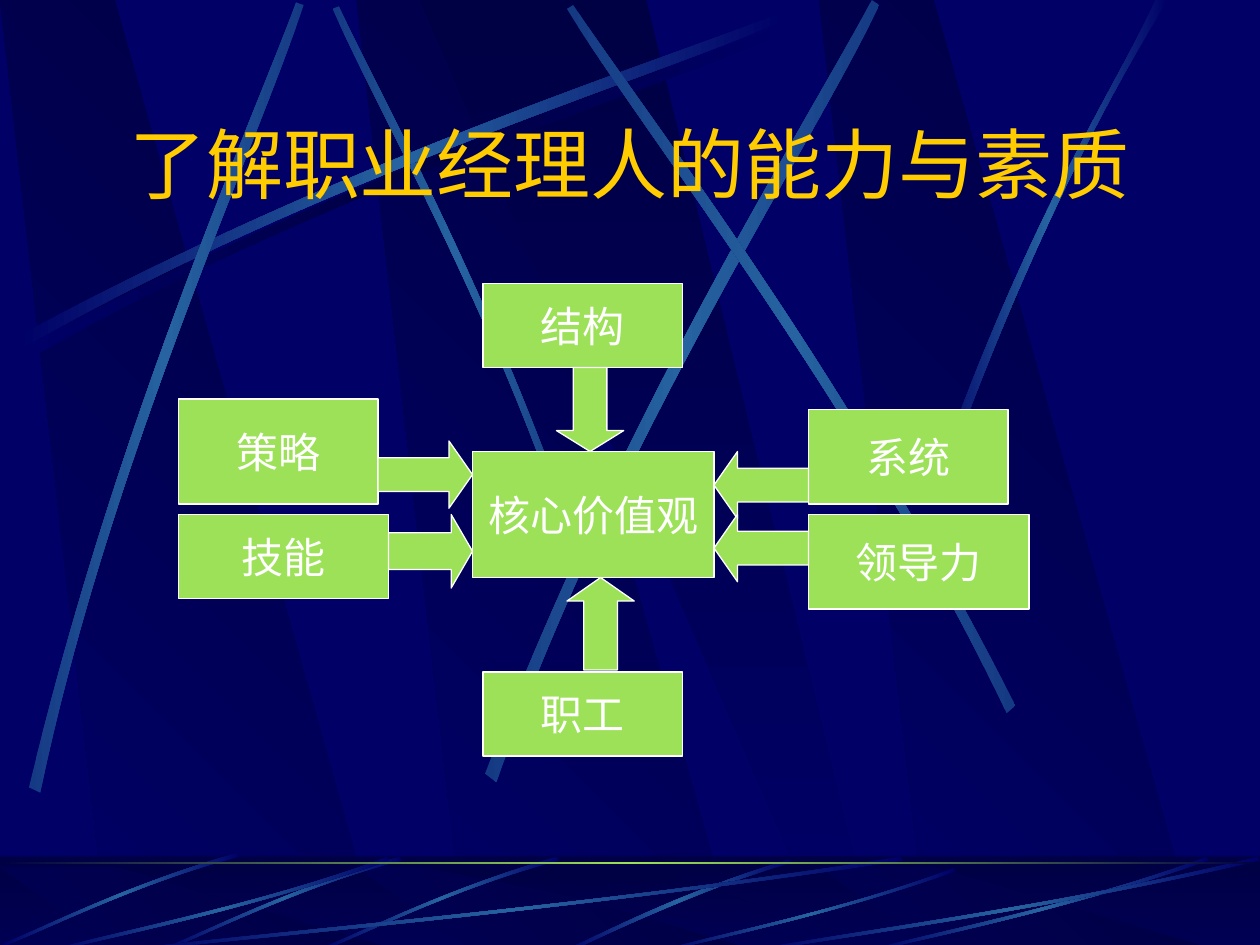
from lxml import etree
from pptx import Presentation
from pptx.dml.color import RGBColor
from pptx.enum.shapes import MSO_SHAPE
from pptx.enum.text import MSO_ANCHOR, PP_ALIGN
from pptx.oxml.ns import qn
from pptx.util import Inches, Pt

RECT = MSO_SHAPE.RECTANGLE
UP, DOWN = MSO_SHAPE.UP_ARROW, MSO_SHAPE.DOWN_ARROW
LEFT, RIGHT = MSO_SHAPE.LEFT_ARROW, MSO_SHAPE.RIGHT_ARROW
CENTER, MIDDLE = PP_ALIGN.CENTER, MSO_ANCHOR.MIDDLE

COLORS = {"navy": "000066", "dark": "000044", "blue": "2663A0", "dim": "153A84",
          "green": "9CE157", "gold": "FFCC00", "white": "FFFFFF"}
WIDTH, HEIGHT = 10, 7.5
GRID = 12  # diagram cells per inch

# Content: text and (left, top, width, height) in grid cells
TITLE = "了解职业经理人的能力与素质"
BOXES = [
    ("核心价值观", (45, 43, 23, 12)),
    ("领导力", (77, 49, 21, 9)),
    ("技能", (17, 49, 20, 8)),
    ("系统", (77, 39, 19, 9)),
    ("策略", (17, 38, 19, 10)),
    ("结构", (46, 27, 19, 8)),
    ("职工", (46, 64, 19, 8)),
]
# Arrow kind, grid cells, head length as a share of the short side
ARROWS = [
    (UP, (54, 55, 6.4, 8.8), 0.35),
    (DOWN, (53, 35, 6.4, 8), 0.31),
    (RIGHT, (36, 42, 9, 6.4), 0.35),
    (RIGHT, (37, 49, 8, 7), 0.29),
    (LEFT, (68, 43, 9, 6.4), 0.35),
    (LEFT, (68, 49, 9, 6.4), 0.35),
]

# Backdrop panels: bottom left, bottom right, top right, top left x; gradient angle
PANELS = [
    (3.69, 5.85, 3.74, 2.83, 135),
    (0.86, 3.02, 0.91, 0, 135),
    (7.36, 9.52, 7.41, 6.5, 135),
    (6.58, 6.94, 5.13, 3.33, 90),
]
# Streaks: gradient, then the control points of the two long curved edges
FADE, SHADE, SOFT = ("navy", "blue", "navy"), ("navy", "dark", "navy"), ("dim", "blue", "dim")
WALL_STREAKS = [
    (SHADE, [(0.2, 2.75), (2.84, 1.34), (5.24, 0.59), (6.26, 0.18)],
     [(6.29, 0.24), (5.28, 0.69), (2.54, 1.51), (0.23, 2.85)]),
    (SOFT, [(4.6, 4.36), (3.91, 2.34), (3.02, 0.77), (2.69, 0.05)],
     [(2.64, 0.07), (2.95, 0.79), (3.98, 2.58), (4.54, 4.39)]),
    (FADE, [(0.14, 2.67), (2.78, 1.25), (5.18, 0.51), (6.2, 0.1)],
     [(6.23, 0.16), (5.22, 0.61), (2.48, 1.43), (0.17, 2.77)]),
    (SOFT, [(0.23, 6.25), (0.93, 3.34), (1.97, 1.05), (2.35, 0.02)],
     [(2.41, 0.04), (2.07, 1.08), (0.86, 3.68), (0.32, 6.29)]),
    (SOFT, [(3.85, 6.14), (4.98, 3.2), (6.38, 1.02), (6.92, 0)],
     [(6.98, 0.04), (6.49, 1.08), (4.86, 3.55), (3.94, 6.21)]),
    (SOFT, [(8.06, 5.6), (6.7, 2.93), (5.16, 0.95), (4.55, 0.04)],
     [(4.5, 0.07), (5.07, 1.01), (6.85, 3.25), (7.99, 5.66)]),
    (FADE, [(7.38, 3.93), (8.14, 1.73), (8.88, 0.66), (9.17, 0)],
     [(9.27, 0), (8.36, 1.45), (7.69, 3.22), (7.44, 3.97)]),
]
FLOOR_STREAKS = [
    (FADE, [(6.27, 6.82), (5.37, 7.09), (4.77, 7.42), (4.48, 7.54)],
     [(4.53, 7.55), (4.9, 7.37), (5.71, 7), (6.28, 6.85)]),
]
# One short streak, shifted
FLOOR_STREAKS += [
    (FADE, [(x + 1.86, y), (x + 0.99, y + 0.25), (x + 0.31, y + 0.6), (x, y + 0.72)],
     [(x + 0.01, y + 0.74), (x + 0.32, y + 0.62), (x + 1.09, y + 0.23), (x + 1.88, y + 0.03)])
    for x, y in [(2.56, 6.8), (1.31, 6.8), (0.02, 6.77)]
]
# One sweep shape, set at several lefts, tops and widths
FLOOR_STREAKS += [
    (FADE, [(left + share * width, top + drop * (7.55 - top)) for share, drop in
            [(1, 0.04), (0.57, 0.57), (0.17, 0.85), (0.005, 1)]],
     [(left + share * width, top + drop * (7.55 - top)) for share, drop in
      [(0, 0.98), (0.165, 0.81), (0.615, 0.51), (0.995, 0)]])
    for left, top, width in [(1, 6.8, 6.17), (0.42, 6.8, 2.67), (5.27, 6.89, 2.31),
                             (6.92, 6.8, 2.67), (6, 6.8, 4)]
]

deck = Presentation()
deck.slide_width, deck.slide_height = Inches(WIDTH), Inches(HEIGHT)
page = deck.slides.add_slide(deck.slide_layouts[6])
page.background.fill.solid()
page.background.fill.fore_color.rgb = RGBColor.from_string(COLORS["navy"])


def set_gradient(shape, names, angle):
    shape.shadow.inherit = False
    shape.line.fill.background()
    shape.fill.gradient()
    gradient = shape.fill._xPr.find(qn("a:gradFill"))
    stops = gradient.find(qn("a:gsLst"))
    for stop in list(stops):
        stops.remove(stop)
    for index, name in enumerate(names):
        position = str(round(100000 * index / (len(names) - 1)))
        stop = etree.SubElement(stops, qn("a:gs"), pos=position)
        etree.SubElement(stop, qn("a:srgbClr"), val=COLORS[name])
    gradient.find(qn("a:lin")).set("ang", str(angle * 60000))


def add_outline(points, names, angle):
    points = [(Inches(x), Inches(y)) for x, y in points]
    builder = page.shapes.build_freeform(*points[0])
    builder.add_line_segments(points[1:], close=True)
    shape = builder.convert_to_shape()
    set_gradient(shape, names, angle)
    return shape


def bend(shape):
    """Turn the two long edges of a streak into cubic curves."""
    segments = list(shape._element.iter(qn("a:lnTo")))
    for first in (0, 4):
        arc = etree.Element(qn("a:cubicBezTo"))
        segments[first].addprevious(arc)
        for segment in segments[first:first + 3]:
            arc.append(segment[0])
            segment.getparent().remove(segment)


def add_panels(top):
    for bottom_left, bottom_right, top_right, top_left, angle in PANELS:
        corners = [(bottom_left, HEIGHT), (bottom_right, HEIGHT), (top_right, top), (top_left, top)]
        add_outline(corners, ("dark", "navy"), angle)


def add_streaks(streaks):
    for names, upper, lower in streaks:
        bend(add_outline(upper + lower, names, 180))


def add_band(top, height):
    return page.shapes.add_shape(RECT, 0, Inches(top), Inches(WIDTH), Inches(height))


def move_to_master():
    tree = deck.slide_master.shapes._spTree
    for number, shape in enumerate(list(page.shapes), start=100):
        shape._element.nvSpPr.cNvPr.set("id", str(number))
        tree.append(shape._element)


def add_block(kind, cells):
    block = page.shapes.add_shape(kind, *(Inches(cell / GRID) for cell in cells))
    block.shadow.inherit = False
    block.fill.solid()
    block.fill.fore_color.rgb = RGBColor.from_string(COLORS["green"])
    block.line.color.rgb = RGBColor.from_string(COLORS["white"])
    block.line.width = Pt(0.75)
    return block


def write(box, text, *, size, font, color, wrap):
    frame = box.text_frame
    frame.word_wrap = wrap
    frame.vertical_anchor = MIDDLE
    para = frame.paragraphs[0]
    para.alignment = CENTER
    span = para.add_run()
    span.text = text
    span.font.size, span.font.name = Pt(size), font
    span.font.color.rgb = RGBColor.from_string(COLORS[color])


# Backdrop wall
add_panels(0)
add_streaks(WALL_STREAKS)

# Backdrop floor
set_gradient(add_band(6.8, 0.7), ("dark", "navy"), 90)
add_panels(6.88)
veil = add_band(6.79, 0.71)
veil.shadow.inherit = False
veil.line.fill.background()
veil.fill.solid()
veil.fill.fore_color.rgb = RGBColor.from_string(COLORS["dark"])
veil_color = veil.fill._xPr.find(qn("a:solidFill"))[0]
etree.SubElement(veil_color, qn("a:alpha"), val="50000")
add_streaks(FLOOR_STREAKS)
set_gradient(add_band(6.84, 0.02), ("dark", "green", "dark"), 180)
move_to_master()

# Title
title = page.shapes.add_textbox(Inches(0.75), Inches(0.87), Inches(8.5), Inches(0.84))
write(title, TITLE, size=44, font="Montserrat", color="gold", wrap=True)

# Diagram
for text, cells in BOXES:
    write(add_block(RECT, cells), text, size=24, font="Times New Roman",
          color="white", wrap=False)
for kind, cells, head in ARROWS:
    arrow = add_block(kind, cells)
    arrow.adjustments[0], arrow.adjustments[1] = 0.5, head

deck.save("out.pptx")
